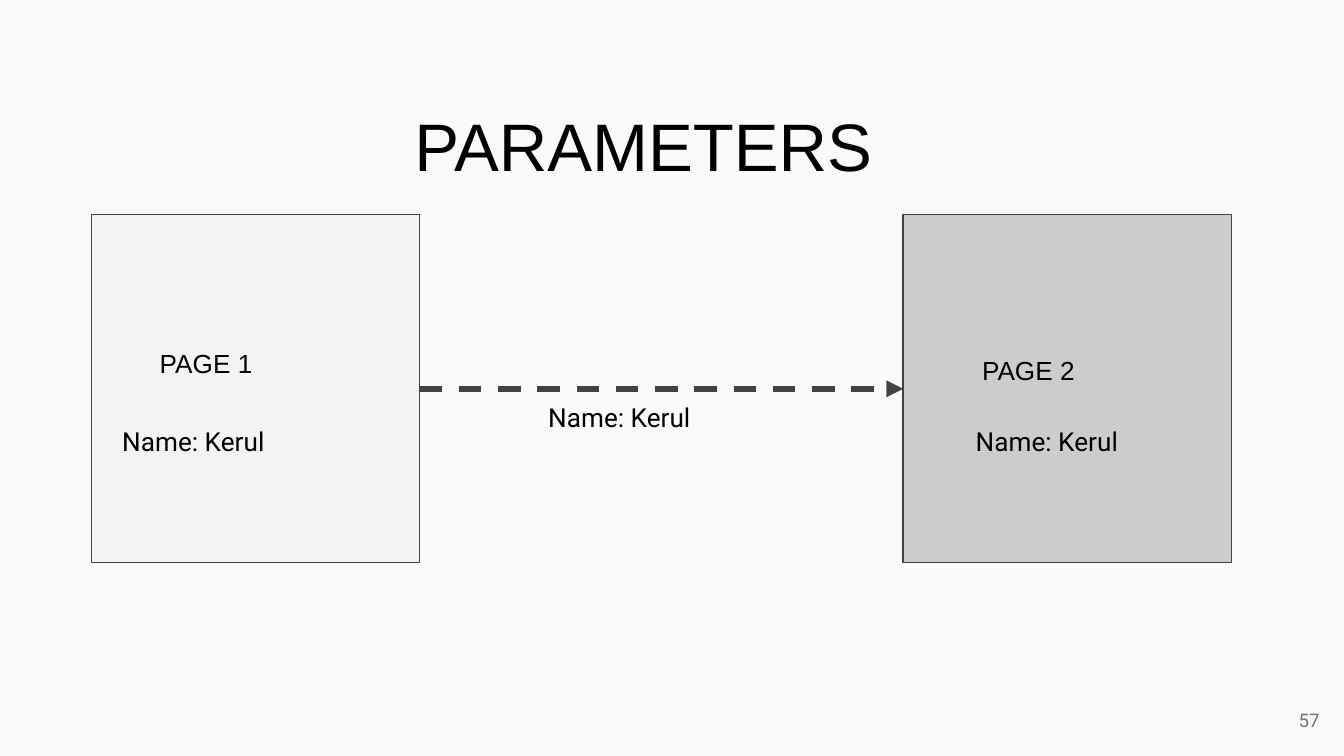
from dataclasses import dataclass

from pptx import Presentation
from pptx.dml.color import RGBColor
from pptx.enum import dml, shapes, text
from pptx.oxml import ns
from pptx.util import Cm, Pt
from lxml import etree


@dataclass(frozen=True)
class Theme:
    background: str = "FAFAFA"
    ink: str = "000000"
    outline: str = "424242"
    first_page: str = "F3F3F3"
    second_page: str = "CCCCCC"
    muted: str = "737373"
    heading_font: str = "Arial"
    body_font: str = "Roboto"
    title_size: int = 36
    label_size: int = 14
    number_size: int = 10


@dataclass(frozen=True)
class Box:
    left: float
    top: float
    width: float
    height: float


@dataclass(frozen=True)
class Label:
    words: str
    box: Box
    font: str
    size: int
    color: str = Theme.ink
    alignment: text.PP_ALIGN = text.PP_ALIGN.LEFT
    anchor: text.MSO_ANCHOR = text.MSO_ANCHOR.TOP


THEME = Theme()
INSET = Cm(0.25)
PAGE_TOP, PAGE_WIDTH, PAGE_HEIGHT = 4.06, 6.2, 6.58
PAGES = [(1.73, THEME.first_page), (17.07, THEME.second_page)]

TITLE = Label("PARAMETERS", Box(4.39, 1.73, 15.54, 2.34), THEME.heading_font,
              THEME.title_size, alignment=text.PP_ALIGN.CENTER)
PAGE_LABELS = [
    Label(words, Box(left, top, 4.09, 1.8), THEME.heading_font, THEME.label_size)
    for words, left, top in [("PAGE 1", 2.77, 6.32), ("PAGE 2", 18.31, 6.45)]
]
PARAMETER_LABELS = [
    Label("Name: Kerul", Box(left, top, 4.78, 0.76), THEME.body_font, THEME.label_size)
    for left, top in [(2.06, 7.8), (10.11, 7.34), (18.19, 7.8)]
]
SLIDE_NUMBER = Label("57", Box(23.67, 13.06, 1.52, 1.09), THEME.body_font,
                     THEME.number_size, THEME.muted, text.PP_ALIGN.RIGHT,
                     text.MSO_ANCHOR.MIDDLE)


def apply_format(target, values: dict) -> None:
    for name, value in values.items():
        setattr(target, name, value)


def bounds(box: Box) -> dict:
    return {name: Cm(getattr(box, name)) for name in ("left", "top", "width", "height")}


def write_label(shape, label: Label) -> None:
    apply_format(shape, bounds(label.box))
    frame = shape.text_frame
    apply_format(frame, {
        "text": label.words, "word_wrap": True,
        "auto_size": text.MSO_AUTO_SIZE.NONE, "vertical_anchor": label.anchor,
        "margin_left": INSET, "margin_right": INSET,
        "margin_top": INSET, "margin_bottom": INSET,
    })
    paragraph = frame.paragraphs[0]
    paragraph.alignment = label.alignment
    font = paragraph.runs[0].font
    apply_format(font, {"name": label.font, "size": Pt(label.size)})
    font.color.rgb = RGBColor.from_string(label.color)


def add_label(slide, label: Label) -> None:
    write_label(slide.shapes.add_textbox(**bounds(label.box)), label)


def add_page(slide, left: float, color: str):
    box = Box(left, PAGE_TOP, PAGE_WIDTH, PAGE_HEIGHT)
    page = slide.shapes.add_shape(shapes.MSO_SHAPE.RECTANGLE, **bounds(box))
    page.shadow.inherit = False
    page.fill.solid()
    page.fill.fore_color.rgb = RGBColor.from_string(color)
    page.line.color.rgb = RGBColor.from_string(THEME.outline)
    page.line.width = Pt(0.75)
    return page


def add_dashed_arrow(slide, source, target) -> None:
    """Join the right side of source to the left side of target."""
    arrow = slide.shapes.add_connector(shapes.MSO_CONNECTOR.STRAIGHT, 0, 0, 0, 0)
    arrow.begin_connect(source, 3)
    arrow.end_connect(target, 1)
    arrow.line.color.rgb = RGBColor.from_string(THEME.outline)
    apply_format(arrow.line, {"width": Pt(3), "dash_style": dml.MSO_LINE.DASH})
    properties = arrow.element.spPr
    etree.SubElement(properties.find(ns.qn("a:ln")), ns.qn("a:tailEnd"), type="triangle")
    etree.SubElement(properties, ns.qn("a:effectLst"))


def main() -> None:
    presentation = Presentation()
    apply_format(presentation, {"slide_width": Cm(25.4), "slide_height": Cm(14.29)})
    slide = presentation.slides.add_slide(presentation.slide_layouts.get_by_name("Title Only"))
    background = slide.background.fill
    background.solid()
    background.fore_color.rgb = RGBColor.from_string(THEME.background)

    write_label(slide.shapes.title, TITLE)
    first_page, second_page = [add_page(slide, left, color) for left, color in PAGES]
    add_dashed_arrow(slide, first_page, second_page)
    for label in [*PAGE_LABELS, *PARAMETER_LABELS, SLIDE_NUMBER]:
        add_label(slide, label)
    presentation.save("out.pptx")


if __name__ == "__main__":
    main()
